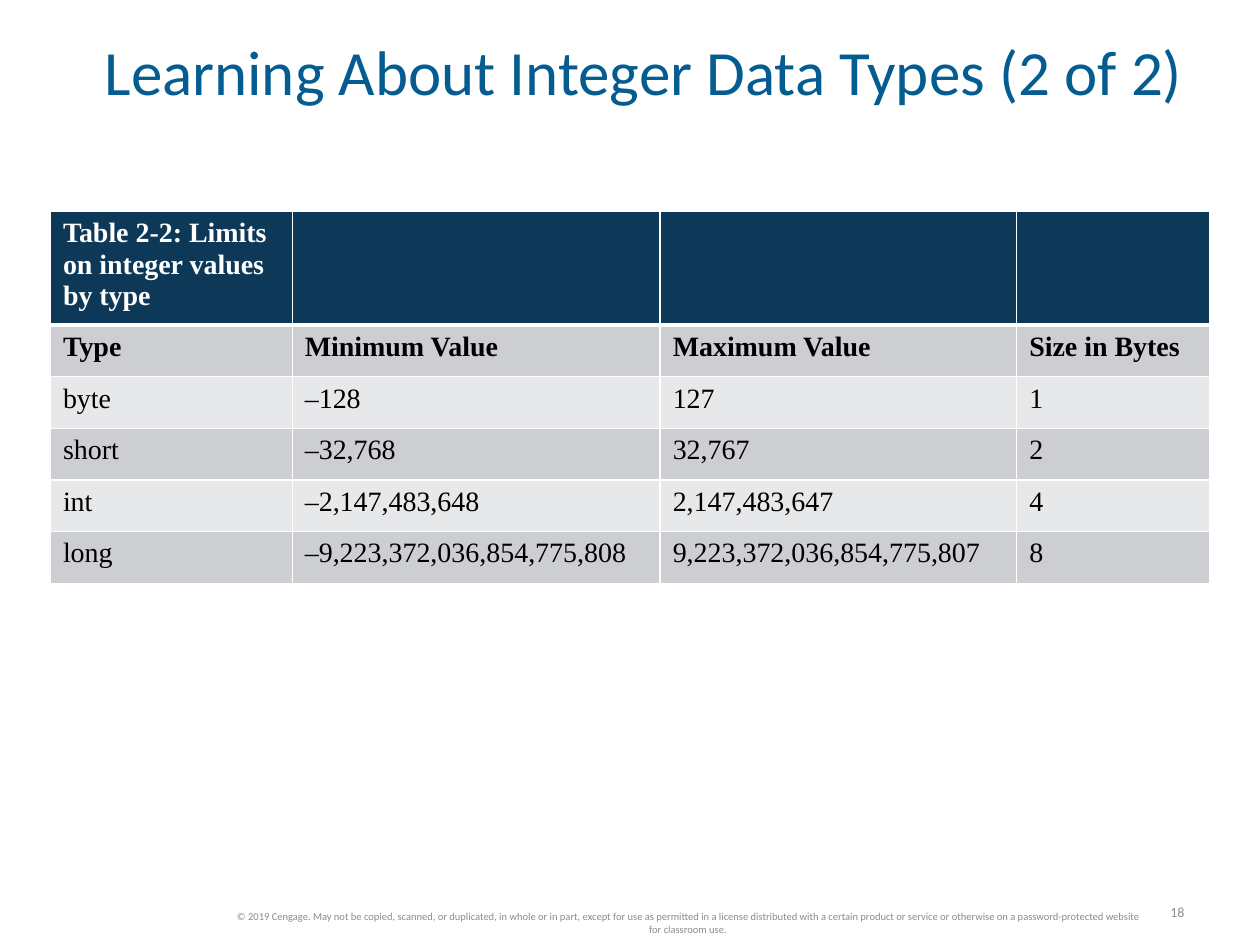
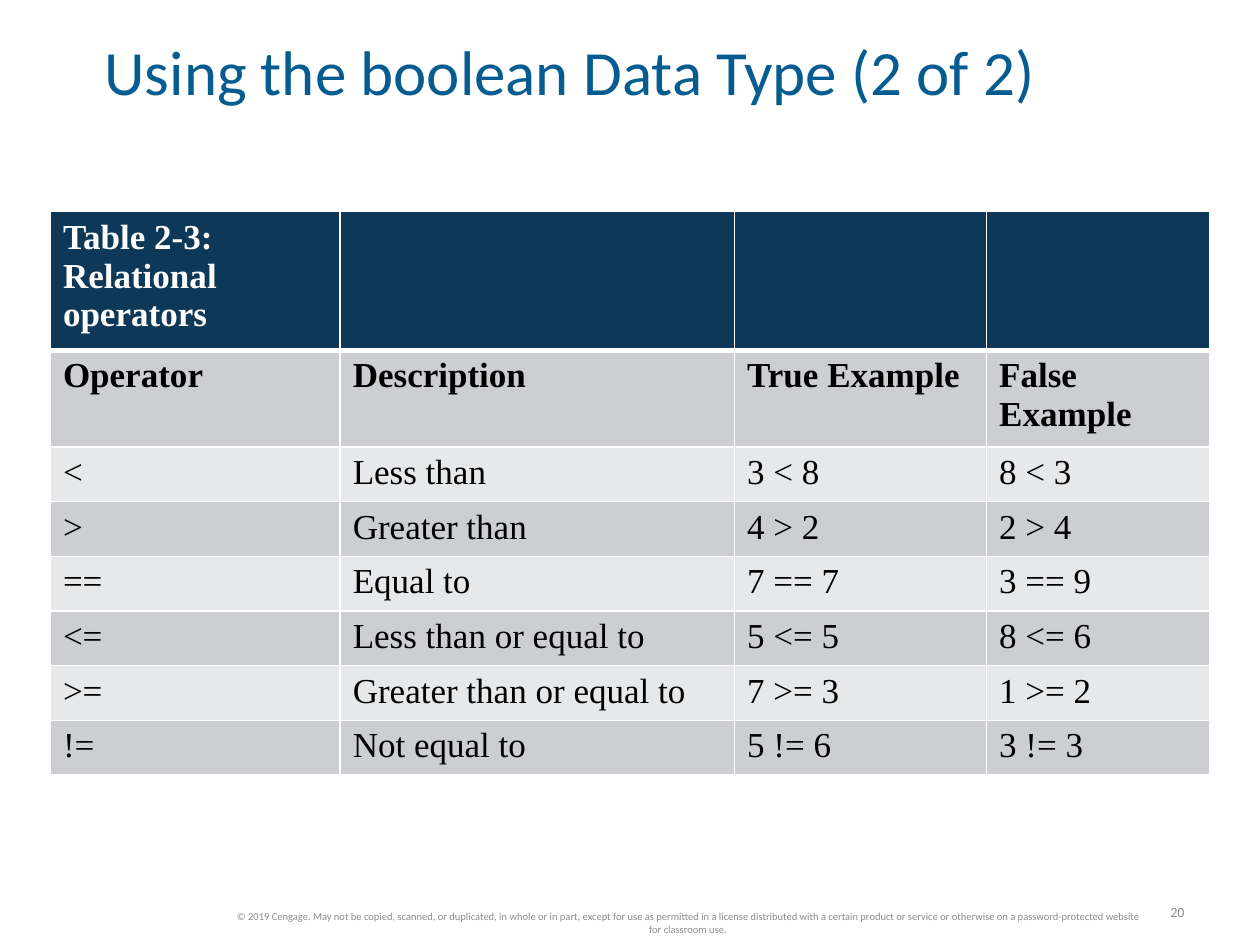
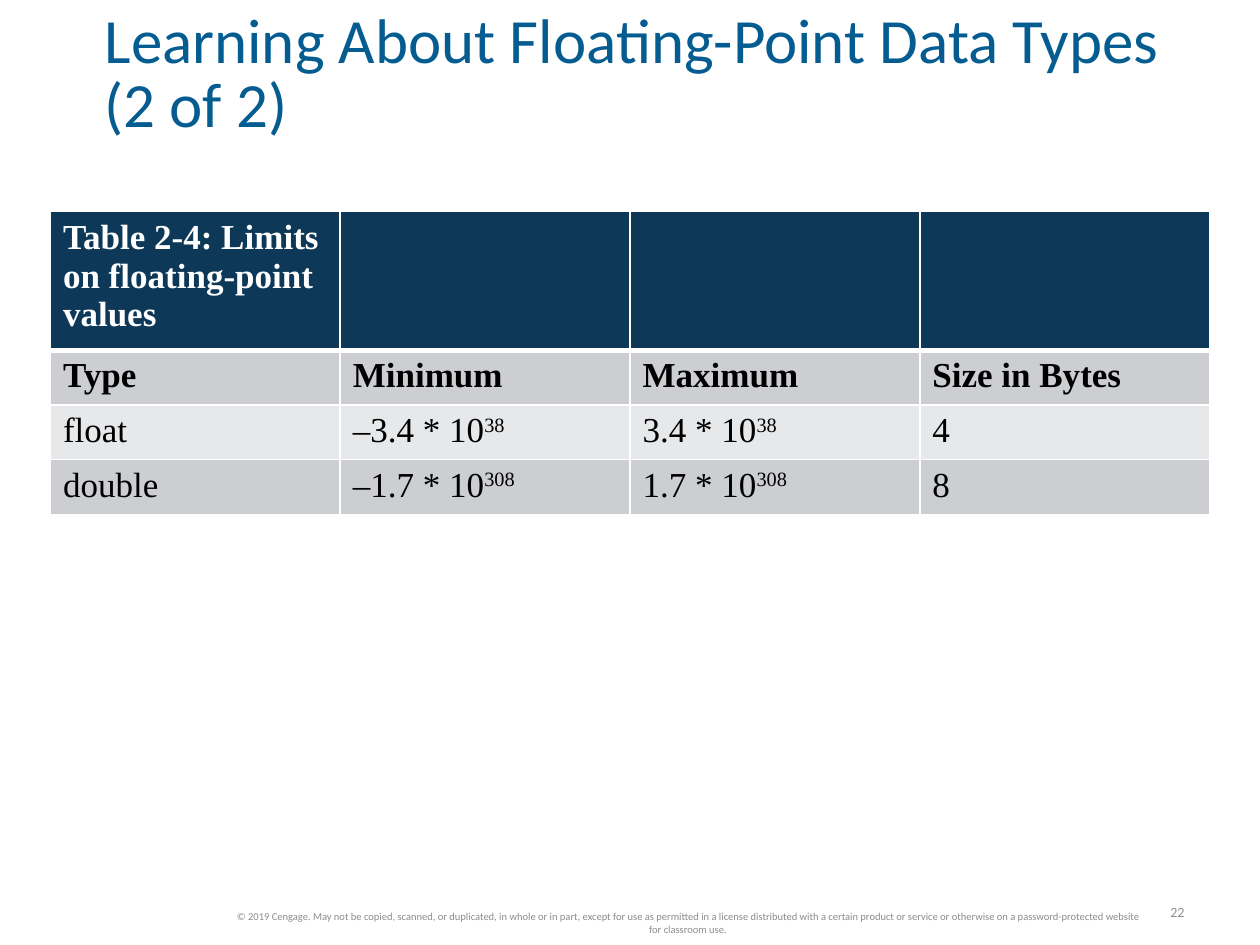
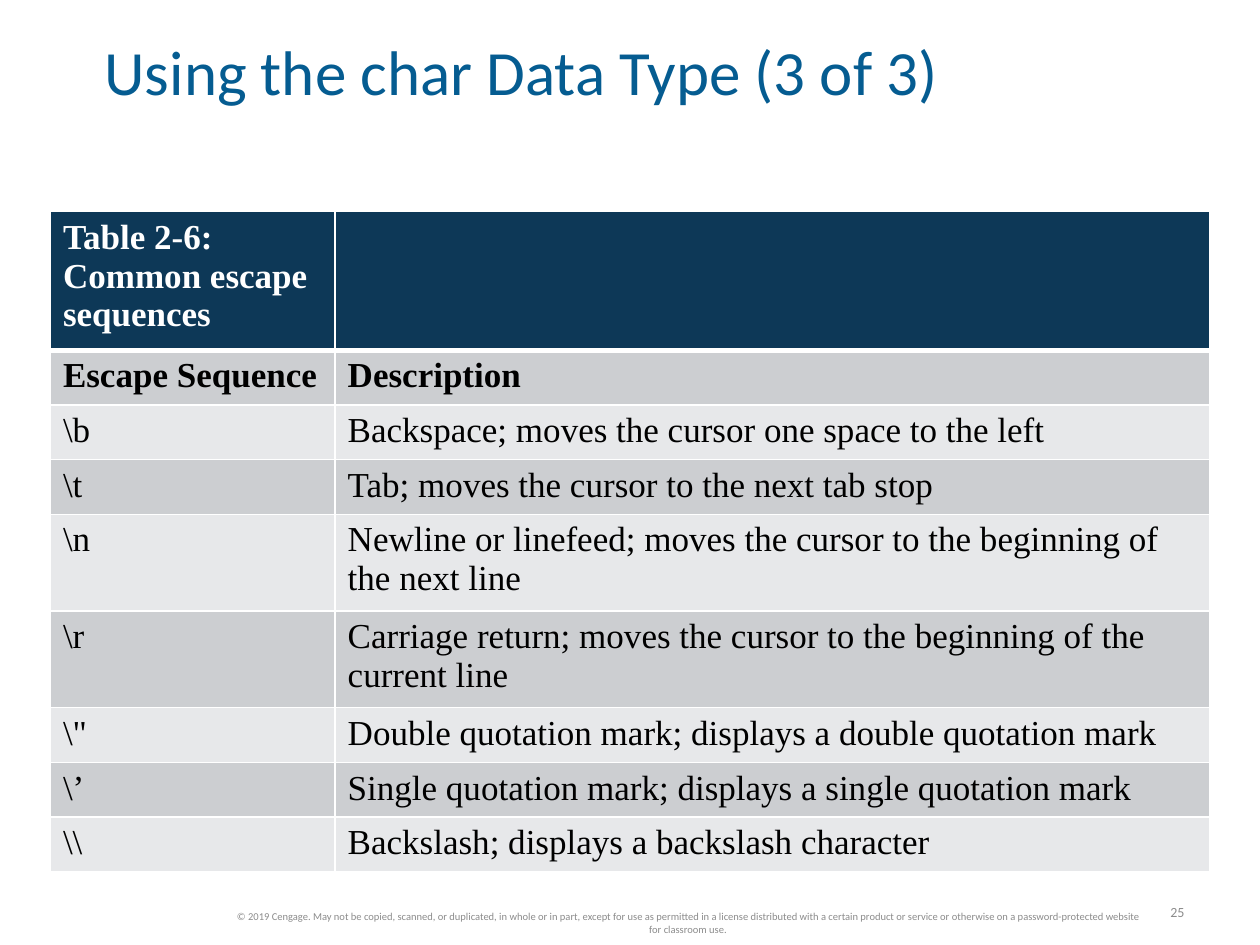
from lxml import etree
from pptx import Presentation
from pptx import util as u
from pptx.dml.color import RGBColor
from pptx.enum import text
from pptx.oxml.ns import qn

COLORS = {
    "title": "055C91", "muted": "8C8C8C", "white": "FFFFFF", "black": "000000",
    "header": "0D3857", "band_dark": "CCCED1", "band_light": "E7E8EA",
}
HEAD_FONT, TABLE_FONT = "Calibri", "Times New Roman"
SLIDE_W, SLIDE_H = 10, 7.5
TABLE_LEFT, TABLE_TOP, ROW_H = 0.4, 1.68, 0.41
COPYRIGHT = (
    "© 2019 Cengage. May not be copied, scanned, or duplicated, in whole or in part, "
    "except for use as permitted in a license distributed with a certain product or "
    "service or otherwise on a password-protected website for classroom use."
)

# Slide content: the first table row is the column headings, "^" starts a superscript
SLIDES = [
    dict(number=18, title="Learning About Integer Data Types (2 of 2)",
         caption="Table 2-2: Limits on integer values by type",
         size=16, cols=[1.92, 2.92, 2.83, 1.53], rows=[
             ["Type", "Minimum Value", "Maximum Value", "Size in Bytes"],
             ["byte", "–128", "127", "1"],
             ["short", "–32,768", "32,767", "2"],
             ["int", "–2,147,483,648", "2,147,483,647", "4"],
             ["long", "–9,223,372,036,854,775,808", "9,223,372,036,854,775,807", "8"],
         ]),
    dict(number=20, title="Using the boolean Data Type (2 of 2)",
         caption="Table 2-3: Relational operators",
         size=20, cols=[2.3, 3.13, 2, 1.77], rows=[
             ["Operator", "Description", "True Example", "False Example"],
             ["<", "Less than", "3 < 8", "8 < 3"],
             [">", "Greater than", "4 > 2", "2 > 4"],
             ["==", "Equal to", "7 == 7", "3 == 9"],
             ["<=", "Less than or equal to", "5 <= 5", "8 <= 6"],
             [">=", "Greater than or equal to", "7 >= 3", "1 >= 2"],
             ["!=", "Not equal to", "5 != 6", "3 != 3"],
         ]),
    dict(number=22, title="Learning About Floating-Point Data Types (2 of 2)",
         caption="Table 2-4: Limits on floating-point values",
         size=20, cols=[2.3] * 4, rows=[
             ["Type", "Minimum", "Maximum", "Size in Bytes"],
             ["float", "–3.4 * 10^38", "3.4 * 10^38", "4"],
             ["double", "–1.7 * 10^308", "1.7 * 10^308", "8"],
         ]),
    dict(number=25, title="Using the char Data Type (3 of 3)",
         caption="Table 2-6: Common escape sequences",
         size=20, cols=[2.26, 6.94], rows=[
             ["Escape Sequence", "Description"],
             [r"\b", "Backspace; moves the cursor one space to the left"],
             [r"\t", "Tab; moves the cursor to the next tab stop"],
             [r"\n", "Newline or linefeed; moves the cursor to the beginning of the next line"],
             [r"\r", "Carriage return; moves the cursor to the beginning of the current line"],
             [r"\"", "Double quotation mark; displays a double quotation mark"],
             [r"\’", "Single quotation mark; displays a single quotation mark"],
             ["\\\\", "Backslash; displays a backslash character"],
         ]),
]


def rgb(name):
    return RGBColor.from_string(COLORS[name])


def add_run(p, content, font, size, color, bold=False):
    r = p.add_run()
    r.text = content
    r.font.name, r.font.size, r.font.bold = font, u.Pt(size), bold
    r.font.color.rgb = rgb(color)
    return r


def add_text(s, box, content, size, color, align, inset=True, spacing=None):
    sp = s.shapes.add_textbox(*(u.Inches(v) for v in box))
    tf = sp.text_frame
    tf.word_wrap = True
    tf.vertical_anchor = text.MSO_ANCHOR.MIDDLE
    if not inset:
        tf.margin_left = tf.margin_right = tf.margin_top = tf.margin_bottom = 0
    p = tf.paragraphs[0]
    p.alignment = align
    if spacing:
        p.line_spacing = spacing
    add_run(p, content, HEAD_FONT, size, color)


def set_borders(cell, top=1, bottom=1):
    """White cell borders; the line elements go ahead of the fill."""
    tcPr = cell._tc.get_or_add_tcPr()
    widths = {"lnL": 1, "lnR": 1, "lnT": top, "lnB": bottom}
    for i, (tag, width) in enumerate(widths.items()):
        ln = etree.Element(qn(f"a:{tag}"), w=str(u.Pt(width)))
        fill = etree.SubElement(ln, qn("a:solidFill"))
        etree.SubElement(fill, qn("a:srgbClr"), val=COLORS["white"])
        tcPr.insert(i, ln)


def fill_cell(cell, content, row, size):
    band = "header" if row == 0 else "band_dark" if row % 2 else "band_light"
    cell.fill.solid()
    cell.fill.fore_color.rgb = rgb(band)
    set_borders(cell, top=3 if row == 1 else 1, bottom=3 if row == 0 else 1)
    if not content:
        return
    color = "white" if row == 0 else "black"
    p = cell.text_frame.paragraphs[0]
    base, _, power = content.partition("^")
    add_run(p, base, TABLE_FONT, size, color, bold=row < 2)
    if power:
        r = add_run(p, power, TABLE_FONT, size, color)
        r._r.get_or_add_rPr().set("baseline", "30000")


def add_data_table(s, caption, cols, rows, size):
    grid = [[caption] + [""] * (len(cols) - 1)] + rows
    box = (TABLE_LEFT, TABLE_TOP, sum(cols), ROW_H * len(grid))
    table = s.shapes.add_table(len(grid), len(cols), *(u.Inches(v) for v in box)).table
    for col, width in zip(table.columns, cols):
        col.width = u.Inches(width)
    for i, row in enumerate(grid):
        table.rows[i].height = u.Inches(ROW_H)
        for j, content in enumerate(row):
            fill_cell(table.cell(i, j), content, i, size)


def add_slide(prs, number, title, caption, size, cols, rows):
    s = prs.slides.add_slide(prs.slide_layouts[6])
    # Page number, table, title, copyright line
    add_text(s, (9.16, 7.12, 0.34, 0.24), str(number), 8, "muted", text.PP_ALIGN.RIGHT)
    add_data_table(s, caption, cols, rows, size)
    add_text(s, (0.83, 0.35, 8.78, 0.51), title, 36, "title", text.PP_ALIGN.LEFT,
             inset=False, spacing=0.85)
    add_text(s, (1.75, 7.19, 7.42, 0.27), COPYRIGHT, 6, "muted", text.PP_ALIGN.CENTER)


def main():
    prs = Presentation()
    prs.slide_width, prs.slide_height = u.Inches(SLIDE_W), u.Inches(SLIDE_H)
    for content in SLIDES:
        add_slide(prs, **content)
    prs.save("out.pptx")


if __name__ == "__main__":
    main()
